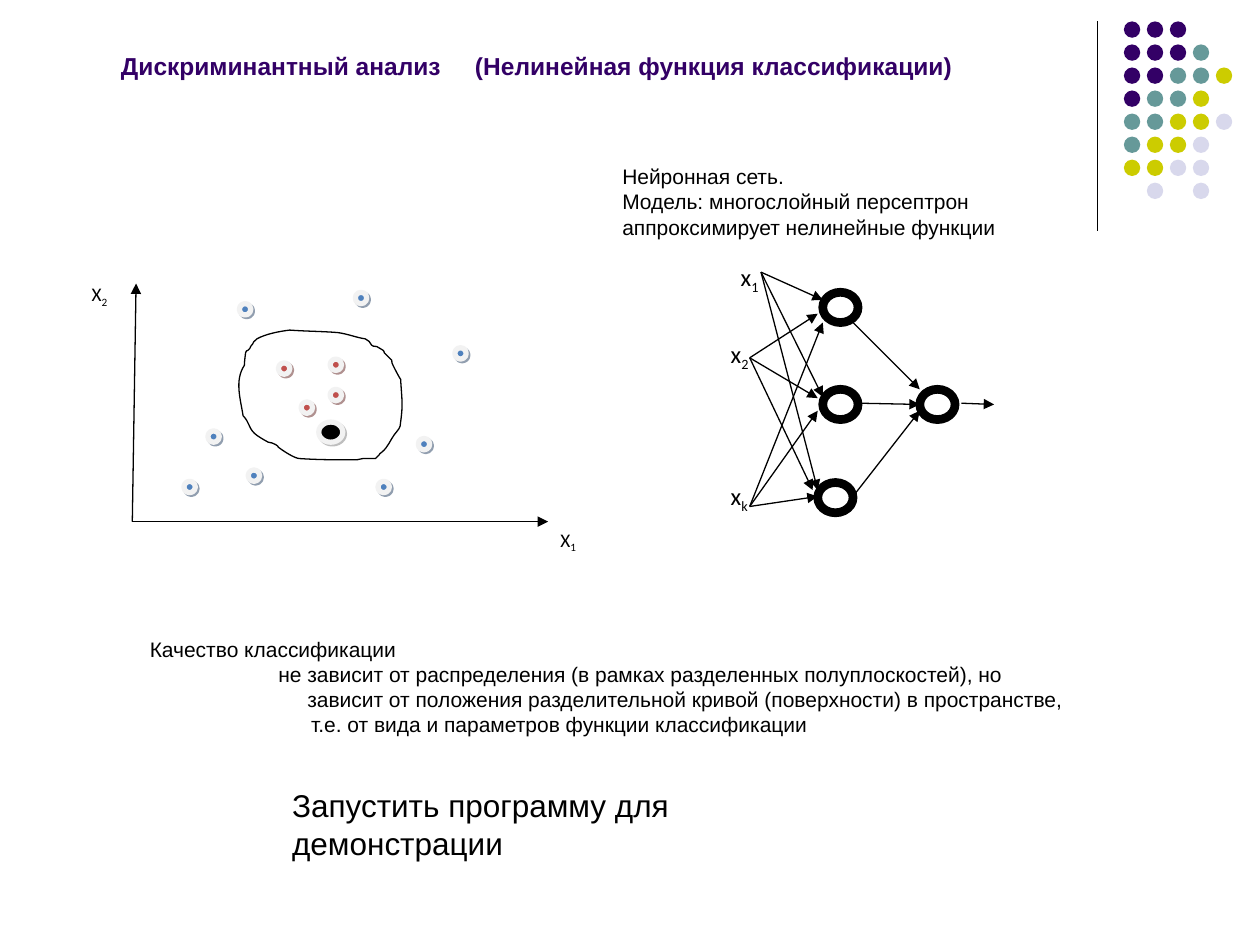
import pptx
import pptx.dml.color
import pptx.enum.shapes
import pptx.enum.text
import pptx.oxml
import pptx.oxml.ns
import pptx.util
import lxml.etree

THEME = {
    "font": "Arial", "label_font": "Calibri",
    "title": 14, "body": 12, "callout": 18, "axis": 11, "input": 14,
    "thin": 0.75, "dot_rim": 3, "neuron_rim": 5,
    "black": "000000", "white": "FFFFFF", "rim": "F2F2F2",
    "purple": "330066", "teal": "669999", "yellow": "CCCC00", "pale": "D8D8EC",
    "blue": "4F81BD", "blue_shadow": "243F60",
    "red": "C0504D", "red_shadow": "622423", "grey_shadow": "7F7F7F",
}

TITLE = "Дискриминантный анализ\t(Нелинейная функция классификации)"
TITLE_TAB = 2.81
NETWORK_TEXT = [
    ("Нейронная сеть.", 0),
    ("Модель: многослойный персептрон аппроксимирует нелинейные функции", 0),
]
QUALITY_TEXT = [
    ("Качество классификации", 0),
    ("не зависит от распределения (в рамках разделенных полуплоскостей), но", 1.02),
    ("зависит от положения разделительной кривой (поверхности) в пространстве,", 1.25),
    ("т.е. от вида и параметров функции классификации", 1.28),
]
CALLOUT_TEXT = [("Запустить программу для демонстрации", 0)]

ORNAMENT = ["PPP", "PPPT", "PPTTY", "PTTY", "TTYYL", "TYYL", "YYLL", " L L"]
ORNAMENT_COLOURS = {"P": "purple", "T": "teal", "Y": "yellow", "L": "pale"}
ORNAMENT_START = (8.92, 0.17)
ORNAMENT_STEP = ((9.65 - 8.92) / 4, (1.45 - 0.17) / 7)

OUTER_POINTS = [(1.9, 2.41), (3.32, 3.48), (2.82, 2.32), (3.61, 2.76), (1.65, 3.42),
                (1.46, 3.82), (1.97, 3.73), (3, 3.82)]
INNER_POINTS = [(2.21, 2.88), (2.39, 3.19), (2.62, 3.09), (2.62, 2.85)]
CENTRE_POINT = (2.53, 3.35, 0.19, 0.16)
AXES = [(1.05, 4.14, 1.08, 2.25), (1.05, 4.14, 4.35, 4.14)]
AXIS_LABELS = [("X", "1", (4.35, 4.14, 0.34, 0.32)), ("X", "2", (0.63, 2.19, 0.34, 0.32))]

BOUNDARY_START = (195, 280)
BOUNDARY_CURVES = [
    (195, 279, 196, 278, 197, 278), (198, 277, 199, 276, 199, 275),
    (202, 272, 201, 270, 204, 269), (211, 265, 222, 263, 230, 262),
    (243, 263, 256, 263, 268, 264), (276, 265, 283, 268, 290, 269),
    (291, 270, 292, 270, 293, 271), (294, 272, 294, 273, 295, 274),
    (296, 275, 297, 275, 299, 275), (302, 276, 301, 276, 304, 278),
    (305, 278, 305, 280, 305, 280), (307, 282, 311, 286, 311, 286),
    (311, 287, 311, 289, 312, 290), (312, 290, 317, 300, 318, 301),
    (319, 318, 320, 320, 318, 335), (318, 340, 316, 341, 313, 345),
    (310, 349, 308, 355, 303, 359), (302, 360, 301, 360, 301, 361),
    (300, 362, 299, 363, 298, 364), (295, 364, 291, 364, 288, 364),
    (286, 365, 285, 365, 283, 365), (268, 365, 253, 365, 238, 364),
    (234, 364, 225, 358, 221, 355), (221, 355, 220, 353, 219, 353),
    (217, 352, 215, 351, 213, 351), (211, 350, 204, 346, 202, 344),
    (197, 339, 198, 335, 193, 330), (191, 317, 186, 302, 194, 290),
    (194, 287, 195, 280, 195, 280),
]

NEURONS = [(6.53, 2.32), (6.53, 3.09), (6.49, 3.83), (7.3, 3.09)]
INPUTS = [
    ("1", (5.78, 2.03), (6.04, 2.16), [(6.53, 2.38), (6.53, 3.15), (6.49, 3.89)]),
    ("2", (5.7, 2.64), (5.95, 2.84), [(6.49, 2.49), (6.49, 3.16), (6.45, 3.89)]),
    ("k", (5.7, 3.77), (5.95, 4.02), [(6.53, 2.56), (6.49, 3.26), (6.49, 3.94)]),
]
OUTPUT_LINKS = [(6.77, 2.56, 7.3, 3.09), (6.82, 3.2, 7.3, 3.21),
                (6.77, 3.94, 7.3, 3.26), (7.63, 3.2, 7.89, 3.21)]


def length(inches):
    return pptx.util.Cm(inches * 2.54)


def colour(name):
    return pptx.dml.color.RGBColor.from_string(THEME[name])


def set_values(target, values):
    for name, value in values.items():
        setattr(target, name, value)


def add_element(parent, tag, **attributes):
    return lxml.etree.SubElement(parent, pptx.oxml.ns.qn(tag), attributes)


def set_line(shape, name, width):
    shape.line.color.rgb = colour(name)
    shape.line.width = pptx.util.Pt(width)


def add_run(paragraph, text, size, font="font", ink="black", bold=False):
    run = paragraph.add_run()
    run.text = text
    set_values(run.font, {"name": THEME[font], "size": pptx.util.Pt(THEME[size]), "bold": bold})
    run.font.color.rgb = colour(ink)
    return run


def add_text(shapes, place, lines, size, wrap=True):
    frame = shapes.add_textbox(*map(length, place)).text_frame
    set_values(frame, {"word_wrap": wrap,
                       "auto_size": pptx.enum.text.MSO_AUTO_SIZE.SHAPE_TO_FIT_TEXT})
    for index, (text, indent) in enumerate(lines):
        paragraph = frame.add_paragraph() if index else frame.paragraphs[0]
        if indent:
            paragraph._p.get_or_add_pPr().set("marL", str(length(indent)))
        add_run(paragraph, text, size)


def add_label(shapes, place, letter, subscript, size):
    box = shapes.add_textbox(*map(length, place))
    box.text_frame.word_wrap = False
    paragraph = box.text_frame.paragraphs[0]
    add_run(paragraph, letter, size, "label_font")
    run = add_run(paragraph, subscript, size, "label_font")
    run._r.get_or_add_rPr().set("baseline", "-25000")


def add_line(shapes, ends, arrow=True):
    line = shapes.add_connector(pptx.enum.shapes.MSO_CONNECTOR.STRAIGHT, *map(length, ends))
    set_line(line, "black", THEME["thin"])
    if arrow:
        add_element(line.line._get_or_add_ln(), "a:tailEnd", type="triangle")
    add_element(line._element.spPr, "a:effectLst")


def add_ellipse(shapes, place, fill, rim=None, width=0, shadow=None):
    shape = shapes.add_shape(pptx.enum.shapes.MSO_SHAPE.OVAL, *map(length, place))
    shape.fill.solid()
    shape.fill.fore_color.rgb = colour(fill)
    if rim:
        set_line(shape, rim, width)
    else:
        shape.line.fill.background()
    shape.shadow.inherit = False
    if shadow:
        effects = shape._element.spPr.find(pptx.oxml.ns.qn("a:effectLst"))
        outer = add_element(effects, "a:outerShdw", dist=str(pptx.util.Pt(1.4)),
                            dir="2700000", algn="ctr", rotWithShape="0")
        tint = add_element(outer, "a:srgbClr", val=THEME[shadow])
        add_element(tint, "a:alpha", val="50000")


def add_boundary(shapes):
    points = [curve[i:i + 2] for curve in BOUNDARY_CURVES for i in (0, 2, 4)]
    builder = shapes.build_freeform(*BOUNDARY_START, scale=length(0.01))
    builder.add_line_segments(points, close=True)
    shape = builder.convert_to_shape()
    path = shape._element.find(".//" + pptx.oxml.ns.qn("a:path"))
    segments = path.findall(pptx.oxml.ns.qn("a:lnTo"))
    for index in range(0, len(segments), 3):
        first, *others = segments[index:index + 3]
        first.tag = pptx.oxml.ns.qn("a:cubicBezTo")
        for other in others:
            first.append(other[0])
            path.remove(other)
    shape.fill.background()
    set_line(shape, "black", THEME["thin"])
    shape.shadow.inherit = False


def add_title(slide):
    title = slide.shapes.title
    set_values(title, dict(zip(("left", "top", "width", "height"),
                               map(length, (0.86, 0.23, 7.11, 0.46)))))
    set_values(title.text_frame, {"vertical_anchor": pptx.enum.text.MSO_ANCHOR.BOTTOM,
                                  "auto_size": pptx.enum.text.MSO_AUTO_SIZE.NONE,
                                  "word_wrap": True})
    paragraph = title.text_frame.paragraphs[0]
    tabs = add_element(paragraph._p.get_or_add_pPr(), "a:tabLst")
    add_element(tabs, "a:tab", pos=str(length(TITLE_TAB)), algn="l")
    paragraph.alignment = pptx.enum.text.PP_ALIGN.LEFT
    add_run(paragraph, TITLE, "title", ink="purple", bold=True)


def add_ornament(slide):
    add_line(slide.shapes, (8.71, 0.17, 8.71, 1.83), arrow=False)
    shapes = slide.shapes.add_group_shape().shapes
    for row, pattern in enumerate(ORNAMENT):
        for column, key in enumerate(pattern):
            if key != " ":
                left, top = (start + step * n for start, step, n
                             in zip(ORNAMENT_START, ORNAMENT_STEP, (column, row)))
                add_ellipse(shapes, (left, top, 0.13, 0.13), ORNAMENT_COLOURS[key])


def add_scatter(slide):
    shapes = slide.shapes.add_group_shape().shapes
    for ends in AXES:
        add_line(shapes, ends)
    for letter, subscript, place in AXIS_LABELS:
        add_label(shapes, place, letter, subscript, "axis")
    for points, fill in ((OUTER_POINTS, "blue"), (INNER_POINTS, "red")):
        for point in points:
            add_ellipse(shapes, (*point, 0.09, 0.09), fill, "rim", THEME["dot_rim"],
                        fill + "_shadow")
    add_ellipse(shapes, CENTRE_POINT, "black", "rim", THEME["dot_rim"], "grey_shadow")
    add_boundary(shapes)


def add_network(slide):
    shapes = slide.shapes.add_group_shape().shapes
    for neuron in NEURONS:
        add_ellipse(shapes, (*neuron, 0.28, 0.24), "white", "black", THEME["neuron_rim"])
    for subscript, corner, source, targets in INPUTS:
        for target in targets:
            add_line(shapes, source + target)
        add_label(shapes, (*corner, 0.39, 0.29), "x", subscript, "input")
    for ends in OUTPUT_LINKS:
        add_line(shapes, ends)


def main():
    presentation = pptx.Presentation()
    set_values(presentation, {"slide_width": length(10), "slide_height": length(7.5)})
    slide = presentation.slides.add_slide(presentation.slide_layouts[5])
    add_ornament(slide)
    add_title(slide)
    add_scatter(slide)
    add_text(slide.shapes, (1.09, 5, 7.89, 0.9), QUALITY_TEXT, "body")
    add_network(slide)
    add_text(slide.shapes, (4.84, 1.25, 3.52, 0.7), NETWORK_TEXT, "body")
    add_text(slide.shapes, (2.22, 6.19, 4.93, 0.4), CALLOUT_TEXT, "callout", wrap=False)
    presentation.save("out.pptx")


if __name__ == "__main__":
    main()
